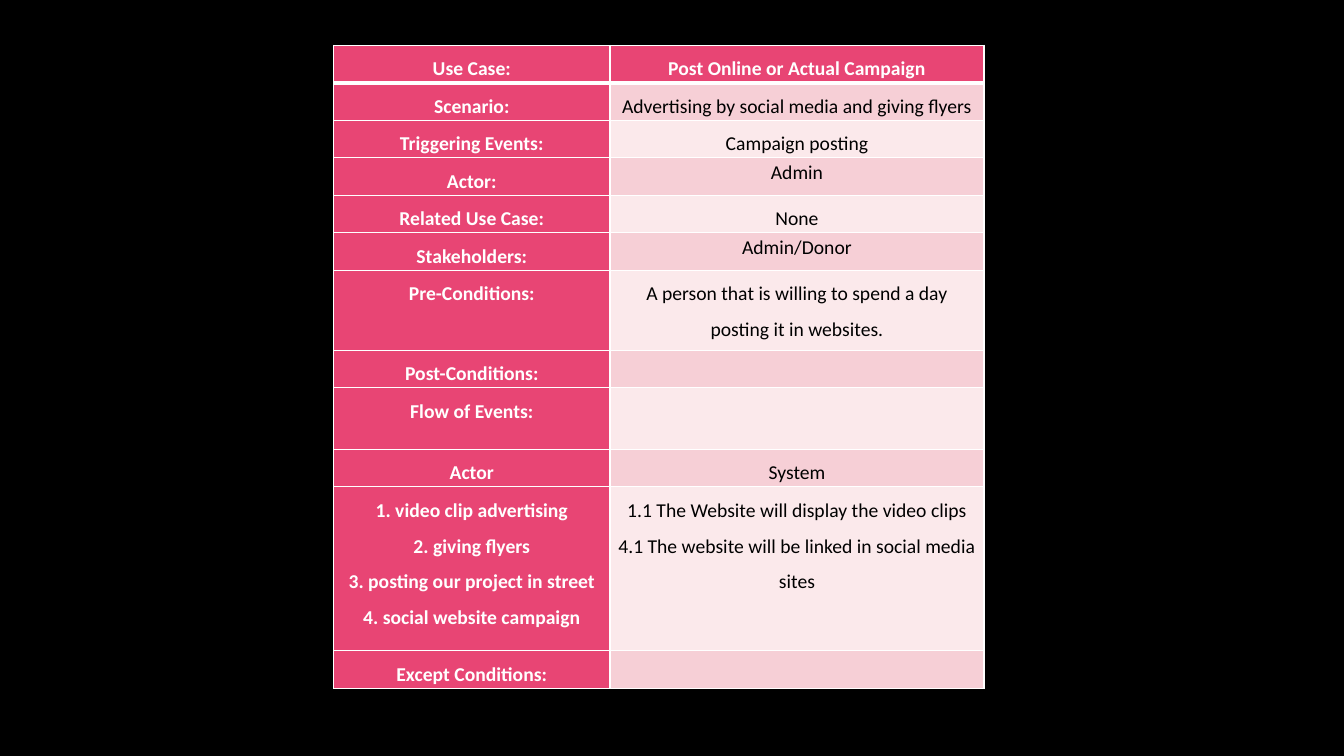
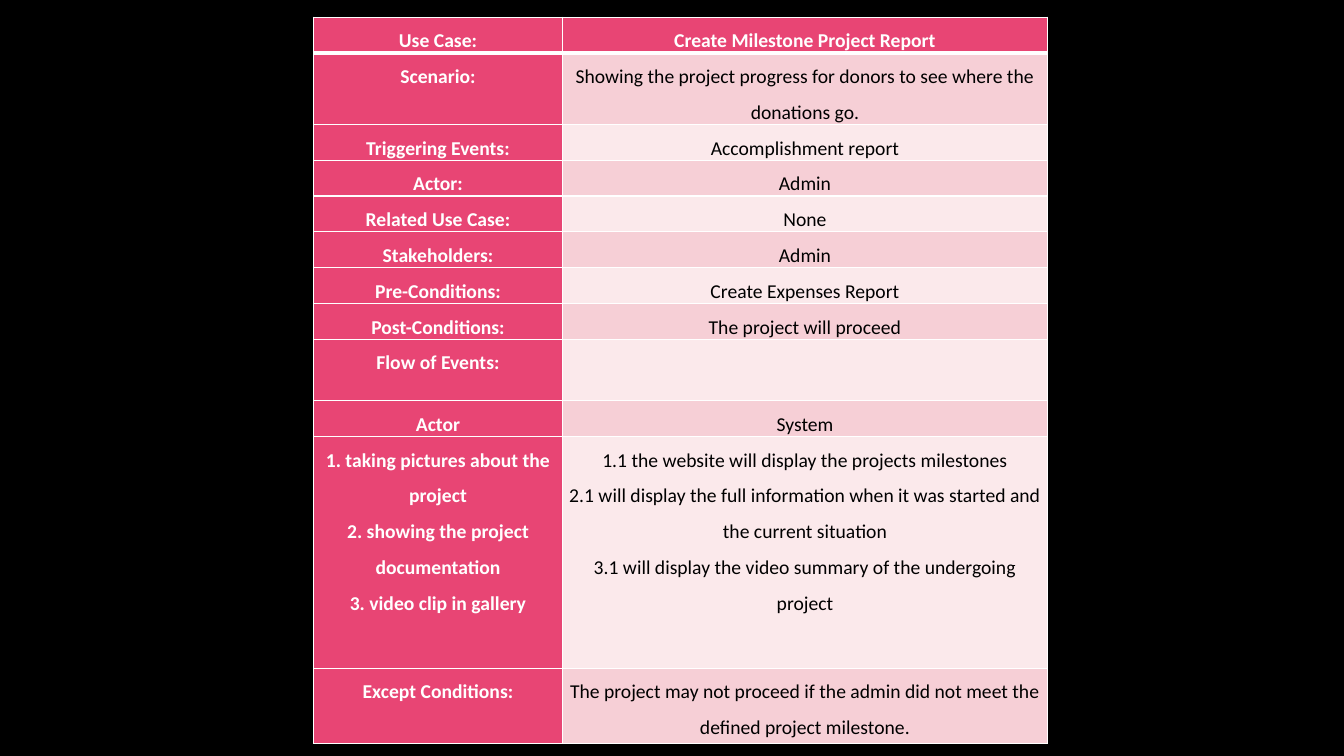
from dataclasses import dataclass

from lxml import etree
from pptx import Presentation, util as u
from pptx.dml.color import RGBColor
from pptx.enum import text
from pptx.oxml import ns

BLACK = RGBColor(0x00, 0x00, 0x00)
WHITE = RGBColor(0xFF, 0xFF, 0xFF)
ROSE = RGBColor(0xE8, 0x45, 0x74)
BANDS = (RGBColor(0xFB, 0xE9, 0xEB), RGBColor(0xF6, 0xCF, 0xD6))

FONT = "Calibri"
FONT_SIZE = u.Pt(14)
WIDE_SPACING = 1.5
TIGHT_SPACING = 1.15
THIN_RULE, HEADER_RULE = u.Pt(1), u.Pt(3)

LABELS = (
    "Use Case:",
    "Scenario:",
    "Triggering Events:",
    "Actor:",
    "Related Use Case:",
    "Stakeholders:",
    "Pre-Conditions:",
    "Post-Conditions:",
    "Flow of Events:",
    "Actor",
)
LAST_LABEL = "Except Conditions:"


@dataclass
class UseCase:
    """One use case; box and label_share are percentages, row_weights are relative."""

    box: tuple
    label_share: float
    row_weights: tuple
    inset: float
    details: tuple
    actor_steps: str
    tight_rows: tuple = ()


CAMPAIGN = UseCase(
    box=(24.83, 6, 48.39, 85.07),
    label_share=42.48,
    row_weights=(37,) * 6 + (79, 37, 61, 37, 162, 37),
    inset=0.07,
    details=(
        "Post Online or Actual Campaign",
        "Advertising by social media and giving flyers",
        "Campaign posting",
        "Admin",
        "None",
        "Admin/Donor",
        "A person that is willing to spend a day posting it in websites.",
        "",
        "",
        "System",
        "1.1 The Website will display the video clips\n"
        "4.1 The website will be linked in social media sites",
        "",
    ),
    actor_steps="1. video clip advertising\n"
    "2. giving flyers\n"
    "3. posting our project in street\n"
    "4. social website campaign",
    tight_rows=(3, 5),
)

MILESTONE = UseCase(
    box=(23.33, 2.27, 54.61, 96.13),
    label_share=33.93,
    row_weights=(35.5, 71) + (35.5,) * 6 + (61, 35.5, 230, 75),
    inset=0.05,
    details=(
        "Create Milestone Project Report",
        "Showing the project progress for donors to see where the donations go.",
        "Accomplishment report",
        "Admin",
        "None",
        "Admin",
        "Create Expenses Report",
        "The project will proceed",
        "",
        "System",
        "1.1 the website will display the projects milestones\n"
        "2.1 will display the full information when it was started and the current situation\n"
        "3.1 will display the video summary of the undergoing project",
        "The project may not proceed if the admin did not meet the defined project milestone.",
    ),
    actor_steps="1. taking pictures about the project\n"
    "2. showing the project documentation\n"
    "3. video clip in gallery",
)


def set_borders(cell, top, bottom):
    """Draw white rules on the four sides of a cell."""
    properties = cell._tc.get_or_add_tcPr()
    sides = {"lnL": THIN_RULE, "lnR": THIN_RULE, "lnT": top, "lnB": bottom}
    for side, width in sides.items():
        line = etree.SubElement(properties, ns.qn(f"a:{side}"), w=str(width))
        fill = etree.SubElement(line, ns.qn("a:solidFill"))
        etree.SubElement(fill, ns.qn("a:srgbClr"), val=str(WHITE))


def fill_cell(cell, content, color, strong, inset, spacing):
    """Colour a cell and write its centred lines."""
    cell.fill.solid()
    cell.fill.fore_color.rgb = color
    cell.margin_left = cell.margin_right = u.Inches(inset)
    cell.margin_top = cell.margin_bottom = 0
    cell.text = content
    for paragraph in cell.text_frame.paragraphs:
        paragraph.alignment = text.PP_ALIGN.CENTER
        paragraph.line_spacing = spacing
        font = paragraph.font
        font.name, font.size, font.bold = FONT, FONT_SIZE, strong
        font.color.rgb = WHITE if strong else BLACK


def add_use_case_table(slide, use_case, box):
    """Place the two-column use case table in the given box."""
    left, top, width, height = box
    labels = (*LABELS, use_case.actor_steps, LAST_LABEL)
    table = slide.shapes.add_table(len(labels), 2, left, top, width, height).table
    table.first_row = table.horz_banding = False

    label_width = int(width * use_case.label_share / 100)
    table.columns[0].width = label_width
    table.columns[1].width = width - label_width

    total_weight = sum(use_case.row_weights)
    rows = zip(labels, use_case.details, use_case.row_weights)
    for index, (label, detail, weight) in enumerate(rows):
        table.rows[index].height = int(height * weight / total_weight)
        top_rule = HEADER_RULE if index == 1 else THIN_RULE
        bottom_rule = HEADER_RULE if index == 0 else THIN_RULE
        is_header = index == 0
        detail_color = ROSE if is_header else BANDS[index % 2]
        detail_spacing = TIGHT_SPACING if index in use_case.tight_rows else WIDE_SPACING
        columns = (
            (label, ROSE, True, WIDE_SPACING),
            (detail, detail_color, is_header, detail_spacing),
        )
        for column, (content, color, strong, spacing) in enumerate(columns):
            cell = table.cell(index, column)
            set_borders(cell, top_rule, bottom_rule)
            fill_cell(cell, content, color, strong, use_case.inset, spacing)


def add_use_case_slide(presentation, use_case):
    """Add a blank slide that holds one use case table."""
    slide = presentation.slides.add_slide(presentation.slide_layouts[6])
    size = (presentation.slide_width, presentation.slide_height) * 2
    box = [int(length * share / 100) for length, share in zip(size, use_case.box)]
    add_use_case_table(slide, use_case, box)


def main():
    """Build and save the presentation."""
    presentation = Presentation()
    presentation.slide_width = u.Inches(13.33)
    presentation.slide_height = u.Inches(7.5)
    background = presentation.slide_master.background.fill
    background.solid()
    background.fore_color.rgb = BLACK
    for use_case in (CAMPAIGN, MILESTONE):
        add_use_case_slide(presentation, use_case)
    presentation.save("out.pptx")


if __name__ == "__main__":
    main()
